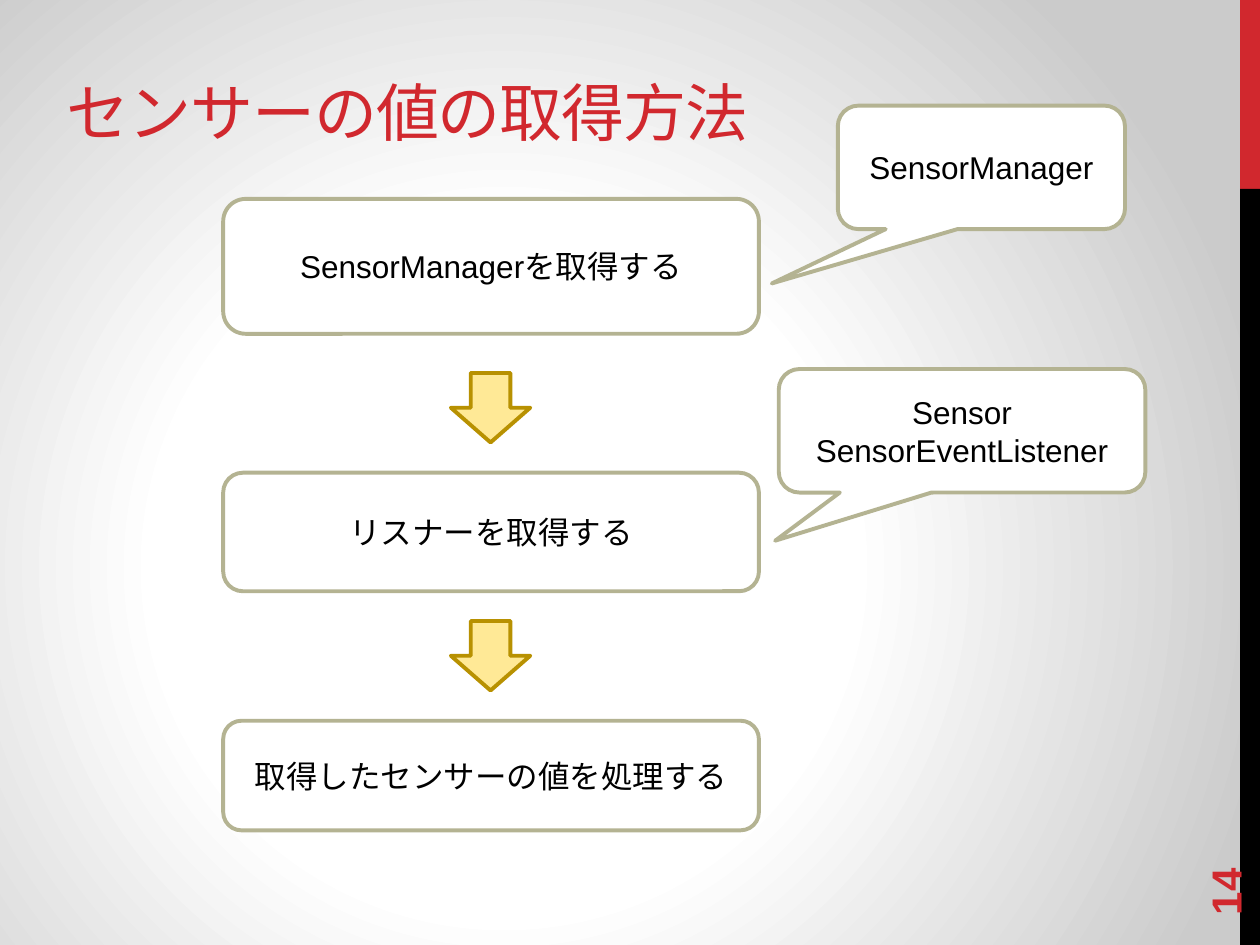
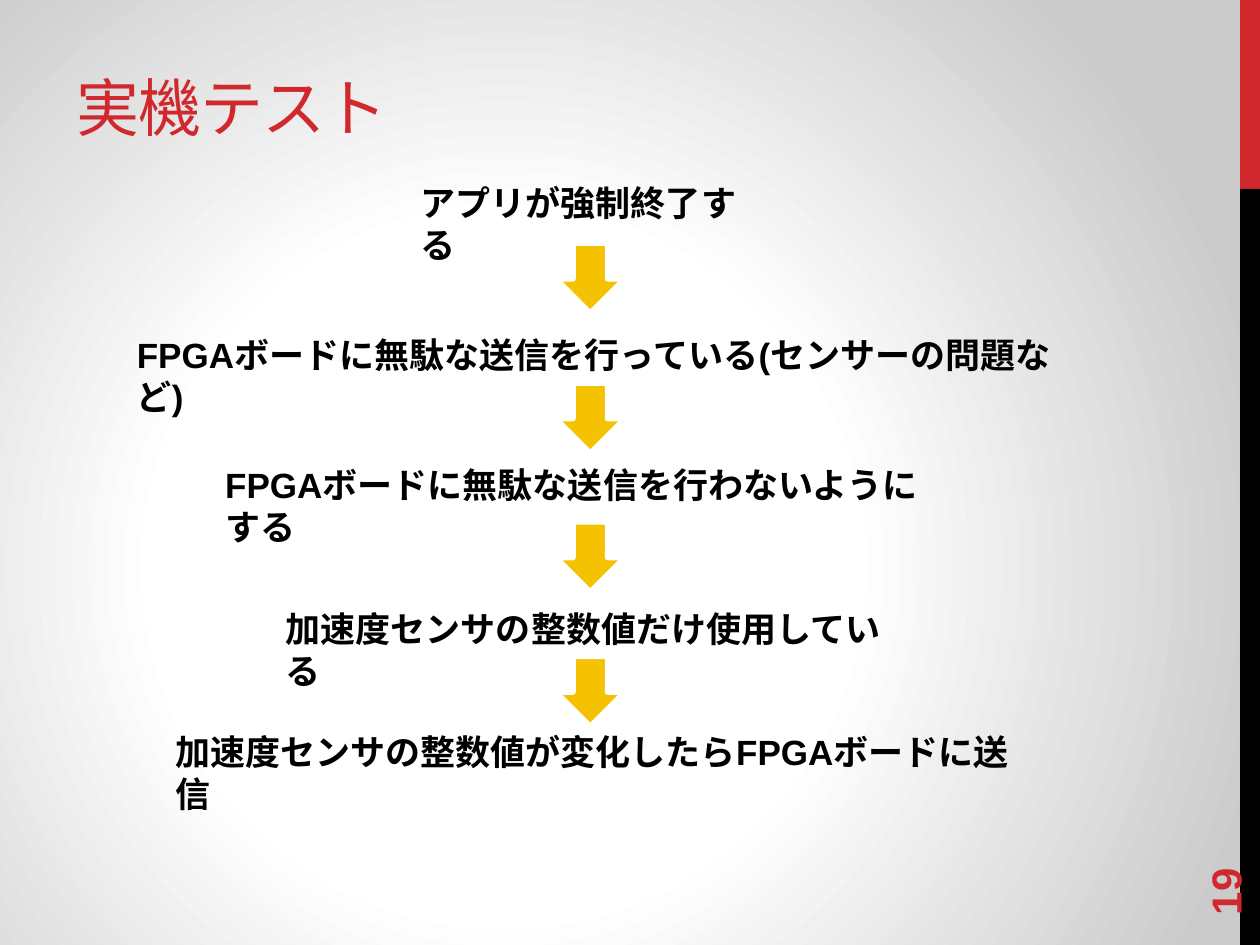
"""Build two slides on reading sensor values and testing on the device."""
import pptx
import pptx.dml.color
import pptx.enum.shapes
import pptx.enum.text
import pptx.oxml
import pptx.oxml.ns
import pptx.util

Cm = pptx.util.Cm
Pt = pptx.util.Pt
SHAPE = pptx.enum.shapes.MSO_SHAPE
ALIGN = pptx.enum.text.PP_ALIGN
ANCHOR = pptx.enum.text.MSO_ANCHOR

COLOURS = {
    "red": "D1282E",
    "black": "000000",
    "white": "FFFFFF",
    "grey": "CBCBCB",
    "olive": "B4B392",
    "cream": "FFE996",
    "ochre": "B89101",
    "amber": "F5C201",
}


def rgb(name):
    """Return the named colour."""
    return pptx.dml.color.RGBColor.from_string(COLOURS[name])


def write(shape, lines, size, colour="black", font="Arial", bold=False,
          align=ALIGN.LEFT, anchor=ANCHOR.TOP):
    """Write lines into a shape as paragraphs of one style."""
    frame = shape.text_frame
    frame.word_wrap = True
    frame.vertical_anchor = anchor
    frame.text = lines
    for para in frame.paragraphs:
        para.alignment = align
        para.font.name = font
        para.font.size = Pt(size)
        para.font.bold = bold
        para.font.color.rgb = rgb(colour)


def add_text(page, place, lines, size, **style):
    """Add a text box at left, top, width, height in centimetres."""
    box = page.shapes.add_textbox(*map(Cm, place))
    write(box, lines, size, **style)
    return box


def add_figure(page, kind, place, fill, line=None, width=2.25):
    """Add a preset shape without shadow."""
    figure = page.shapes.add_shape(kind, *map(Cm, place))
    figure.shadow.inherit = False
    figure.fill.solid()
    figure.fill.fore_color.rgb = rgb(fill)
    if line:
        figure.line.color.rgb = rgb(line)
        figure.line.width = Pt(width)
    else:
        figure.line.fill.background()
    return figure


def add_panel(page, kind, place, lines):
    """Add a white panel with an olive outline and centred text."""
    panel = add_figure(page, kind, place, "white", "olive")
    write(panel, lines, 18, align=ALIGN.CENTER, anchor=ANCHOR.MIDDLE)
    return panel


def add_callout(page, place, lines, tip):
    """Add a rounded callout whose tip is given relative to its size."""
    callout = add_panel(page, SHAPE.ROUNDED_RECTANGULAR_CALLOUT, place, lines)
    for index, value in enumerate(tip):
        callout.adjustments[index] = value


def add_arrows(page, left, tops, size, fill, line, width):
    """Add a column of equal down arrows."""
    for top in tops:
        add_figure(page, SHAPE.DOWN_ARROW, (left, top, *size), fill, line, width)


def paint_background(page):
    """Fill the page with a round gradient from white to grey."""
    page.background.fill.gradient()
    stops = "".join(
        f'<a:gs pos="{share * 1000}"><a:srgbClr val="{COLOURS[name]}"/></a:gs>'
        for share, name in ((0, "white"), (44, "white"), (100, "grey")))
    gradient = pptx.oxml.parse_xml(
        f'<a:gradFill {pptx.oxml.ns.nsdecls("a")} rotWithShape="1">'
        f'<a:gsLst>{stops}</a:gsLst><a:path path="circle">'
        '<a:fillToRect l="40000" t="60000" r="60000" b="40000"/>'
        '</a:path></a:gradFill>')
    plain = page.element.find(".//" + pptx.oxml.ns.qn("a:gradFill"))
    plain.getparent().replace(plain, gradient)


def add_page(deck, title, title_place, number):
    """Add a page with background, side bands, title and page number."""
    page = deck.slides.add_slide(deck.slide_layouts[6])
    paint_background(page)
    add_figure(page, SHAPE.RECTANGLE, (25, 0, 0.4, 3.81), "red")
    add_figure(page, SHAPE.RECTANGLE, (25, 3.81, 0.4, 15.24), "black")
    heading = add_text(page, title_place, title, 36, colour="red",
                       font="Montserrat", anchor=ANCHOR.BOTTOM)
    style = heading.element.find(".//" + pptx.oxml.ns.qn("a:defRPr"))
    style.set("spc", "-60")
    label = add_text(page, (22.86, 16.36, 3.66, 1.02), number, 24, colour="red",
                     bold=True, anchor=ANCHOR.MIDDLE)
    label.rotation = 270
    return page


def build_reading_page(deck):
    """Show the three steps for reading a sensor value."""
    page = add_page(deck, "センサーの値の取得方法", (1.09, 1.02, 16.08, 2.11), "14")
    steps = (
        (4.01, 2.72, "SensorManagerを取得する"),
        (9.53, 2.39, "リスナーを取得する"),
        (14.53, 2.21, "取得したセンサーの値を処理する"),
    )
    for top, height, step in steps:
        add_panel(page, SHAPE.ROUNDED_RECTANGLE, (4.5, top, 10.8, height), step)
    add_arrows(page, 9.09, (7.52, 12.52), (1.6, 1.4), "cream", "ochre", 2.25)
    add_callout(page, (16.89, 2.13, 5.79, 2.49), "SensorManager", (-0.73, 0.94))
    add_callout(page, (15.7, 7.44, 7.39, 2.49), "Sensor\nSensorEventListener",
                (-0.51, 0.89))


def build_test_page(deck):
    """Show how the crash found on the device was solved."""
    page = add_page(deck, "実機テスト", (1.3, 0.53, 16.08, 2.51), "19")
    findings = (
        (8.23, 3.53, 7.21, "アプリが強制終了する"),
        (2.51, 6.6, 18.97, "FPGAボードに無駄な送信を行っている(センサーの問題など)"),
        (4.29, 9.22, 15.04, "FPGAボードに無駄な送信を行わないようにする"),
        (5.51, 12.12, 12.78, "加速度センサの整数値だけ使用している"),
        (3.28, 14.61, 17.42, "加速度センサの整数値が変化したらFPGAボードに送信"),
    )
    for left, top, width, finding in findings:
        add_text(page, (left, top, width, 1.12), finding, 20, bold=True)
    add_arrows(page, 11.2, (4.9, 7.72, 10.52, 13.23), (1.4, 1.42),
               "amber", "white", 3.25)


def main():
    """Build and save the deck."""
    deck = pptx.Presentation()
    deck.slide_width = Cm(25.4)
    deck.slide_height = Cm(19.05)
    build_reading_page(deck)
    build_test_page(deck)
    deck.save("out.pptx")


if __name__ == "__main__":
    main()
